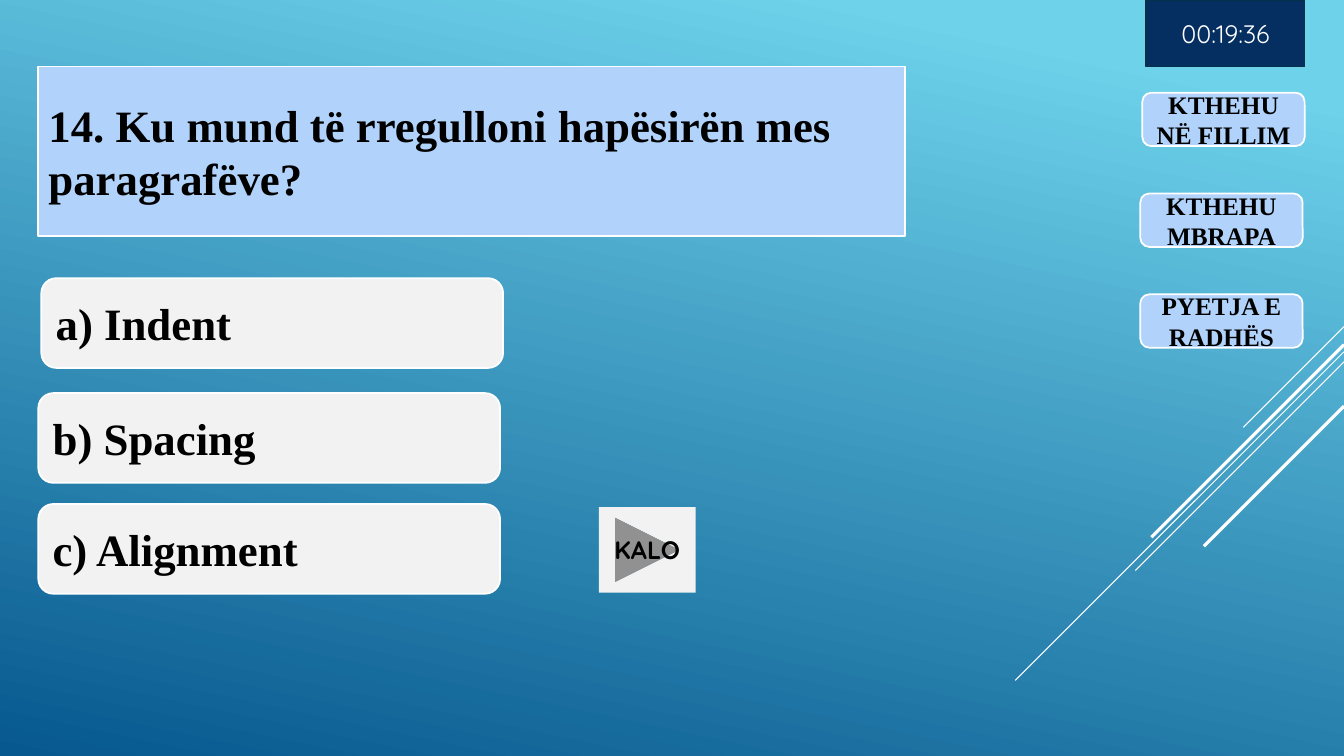
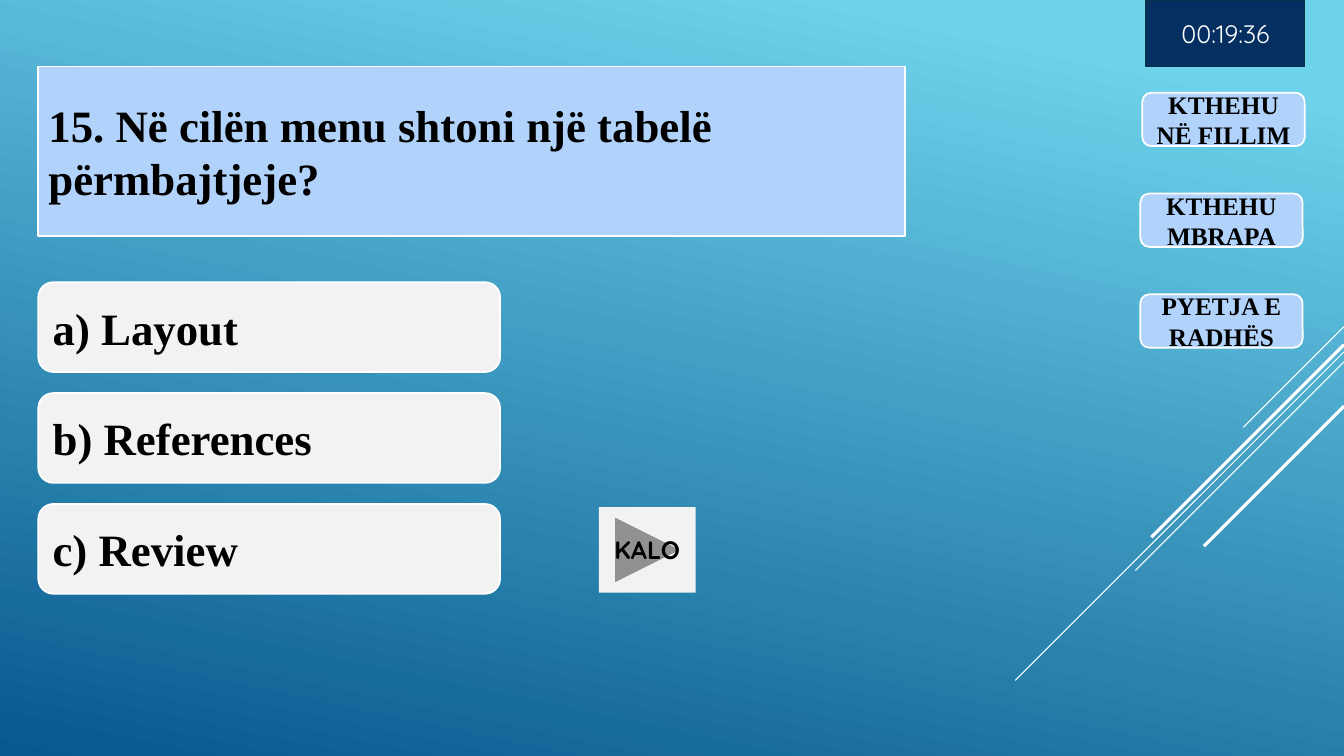
from lxml.etree import SubElement
from pptx import Presentation
from pptx.dml.color import RGBColor
from pptx.enum.shapes import MSO_CONNECTOR, MSO_SHAPE
from pptx.enum.text import MSO_ANCHOR, MSO_AUTO_SIZE, PP_ALIGN
from pptx.oxml import parse_xml
from pptx.oxml.ns import nsdecls, qn
from pptx.util import Inches, Pt

SKY = RGBColor(0x6E, 0xD2, 0xEB)
DEEP_BLUE = RGBColor(0x06, 0x58, 0x8E)
PALE_BLUE = RGBColor(0xB1, 0xD3, 0xFB)
PALE_GREY = RGBColor(0xF2, 0xF2, 0xF2)
NAVY = RGBColor(0x05, 0x2F, 0x61)
NAVY_EDGE = RGBColor(0x04, 0x31, 0x48)
WHITE = RGBColor(0xFF, 0xFF, 0xFF)
BLACK = RGBColor(0, 0, 0)

SERIF = "Times New Roman"
SANS = "Quicksand"
SLIDE_W, SLIDE_H = 13.33, 7.5

# Diagonal stripes: start height on the right edge, run, line width
STRIPES = [(3.24, 1, 0.75), (3.49, 3.26, 0.75), (3.59, 2.07, 0.75),
           (3.42, 1.91, 2.25), (4.03, 1.39, 2.25)]
# Navigation buttons: label and indent from the column's left edge
NAVIGATION = [("KTHEHU NË FILLIM", 0.02), ("KTHEHU MBRAPA", 0), ("PYETJA E RADHËS", 0)]
# Each quiz: question, answers, and the shift of the first answer
QUIZZES = [
    ("14. Ku mund të rregulloni hapësirën mes paragrafëve?",
     ["a) Indent", "b) Spacing", "c) Alignment"], (0.03, -0.04)),
    ("15. Në cilën menu shtoni një tabelë përmbajtjeje?",
     ["a) Layout", "b) References", "c) Review"], (0, 0)),
]


def write(shape, text, *, size=18, font=SERIF, color=BLACK, bold=True, align=PP_ALIGN.CENTER):
    frame = shape.text_frame
    frame.word_wrap = True
    frame.auto_size = MSO_AUTO_SIZE.NONE
    frame.vertical_anchor = MSO_ANCHOR.MIDDLE
    paragraph = frame.paragraphs[0]
    paragraph.alignment = align
    run = paragraph.add_run()
    run.text = text
    run.font.size = Pt(size)
    run.font.name = font
    run.font.color.rgb = color
    run.font.bold = bold


def paint(shape, fill, edge):
    shape.fill.solid()
    shape.fill.fore_color.rgb = fill
    if edge is None:
        shape.line.fill.background()
    else:
        shape.line.color.rgb = edge
        shape.line.width = Pt(1.25)


def add_box(slide, box, text, preset=MSO_SHAPE.ROUNDED_RECTANGLE, fill=PALE_BLUE,
            edge=WHITE, **text_format):
    shape = slide.shapes.add_shape(preset, *map(Inches, box))
    shape.shadow.inherit = False
    paint(shape, fill, edge)
    write(shape, text, **text_format)


def set_background(master):
    fill = master.background.fill
    fill.gradient()
    fill.gradient_angle = 258
    for stop, position, color in zip(fill.gradient_stops, (0.1, 1), (SKY, DEEP_BLUE)):
        stop.position = position
        stop.color.rgb = color


def add_stripes(slide, right):
    for top, run, width in STRIPES:
        stripe = slide.shapes.add_connector(
            MSO_CONNECTOR.STRAIGHT, Inches(right), Inches(top),
            Inches(right - run), Inches(top + run))
        stripe.line.color.rgb = WHITE
        stripe.line.width = Pt(width)
        SubElement(stripe.element.spPr, qn("a:effectLst"))


def add_question(slide, box, question):
    title = slide.shapes.title
    title.left, title.top, title.width, title.height = map(Inches, box)
    # Round the corners of the title placeholder
    title.element.spPr.append(parse_xml(
        f'<a:prstGeom {nsdecls("a")} prst="roundRect"><a:avLst/></a:prstGeom>'))
    paint(title, PALE_BLUE, WHITE)
    write(title, question, size=32, align=PP_ALIGN.LEFT)


def add_answers(slide, box, pitch, answers, first_shift):
    left, top, width, height = box
    for row, answer in enumerate(answers):
        dx, dy = first_shift if row == 0 else (0, 0)
        add_box(slide, (left + dx, top + row * pitch + dy, width, height), answer,
                fill=PALE_GREY, size=32, align=PP_ALIGN.LEFT)


def add_navigation(slide, box, pitch):
    left, top, width, height = box
    for row, (label, indent) in enumerate(NAVIGATION):
        add_box(slide, (left + indent, top + row * pitch, width, height), label)


def add_quiz_slide(prs, question, answers, first_shift):
    slide = prs.slides.add_slide(prs.slide_layouts.get_by_name("Title Only"))
    add_stripes(slide, SLIDE_W)
    add_question(slide, (0.38, 0.66, 8.6, 1.68), question)
    add_answers(slide, (0.38, 2.8, 4.58, 0.89), 1.1, answers, first_shift)
    add_navigation(slide, (11.31, 0.92, 1.61, 0.53), 1)
    # Skip button and timer
    add_box(slide, (5.94, 5.03, 0.96, 0.85), "KALO",
            MSO_SHAPE.ACTION_BUTTON_FORWARD_OR_NEXT, PALE_GREY, None, font=SANS)
    add_box(slide, (11.37, 0, 1.57, 0.66), "00:19:36", MSO_SHAPE.RECTANGLE,
            NAVY, NAVY_EDGE, font=SANS, color=WHITE, bold=False)


def main():
    prs = Presentation()
    prs.slide_width, prs.slide_height = Inches(SLIDE_W), Inches(SLIDE_H)
    set_background(prs.slide_master)
    for quiz in QUIZZES:
        add_quiz_slide(prs, *quiz)
    prs.save("out.pptx")


if __name__ == "__main__":
    main()
